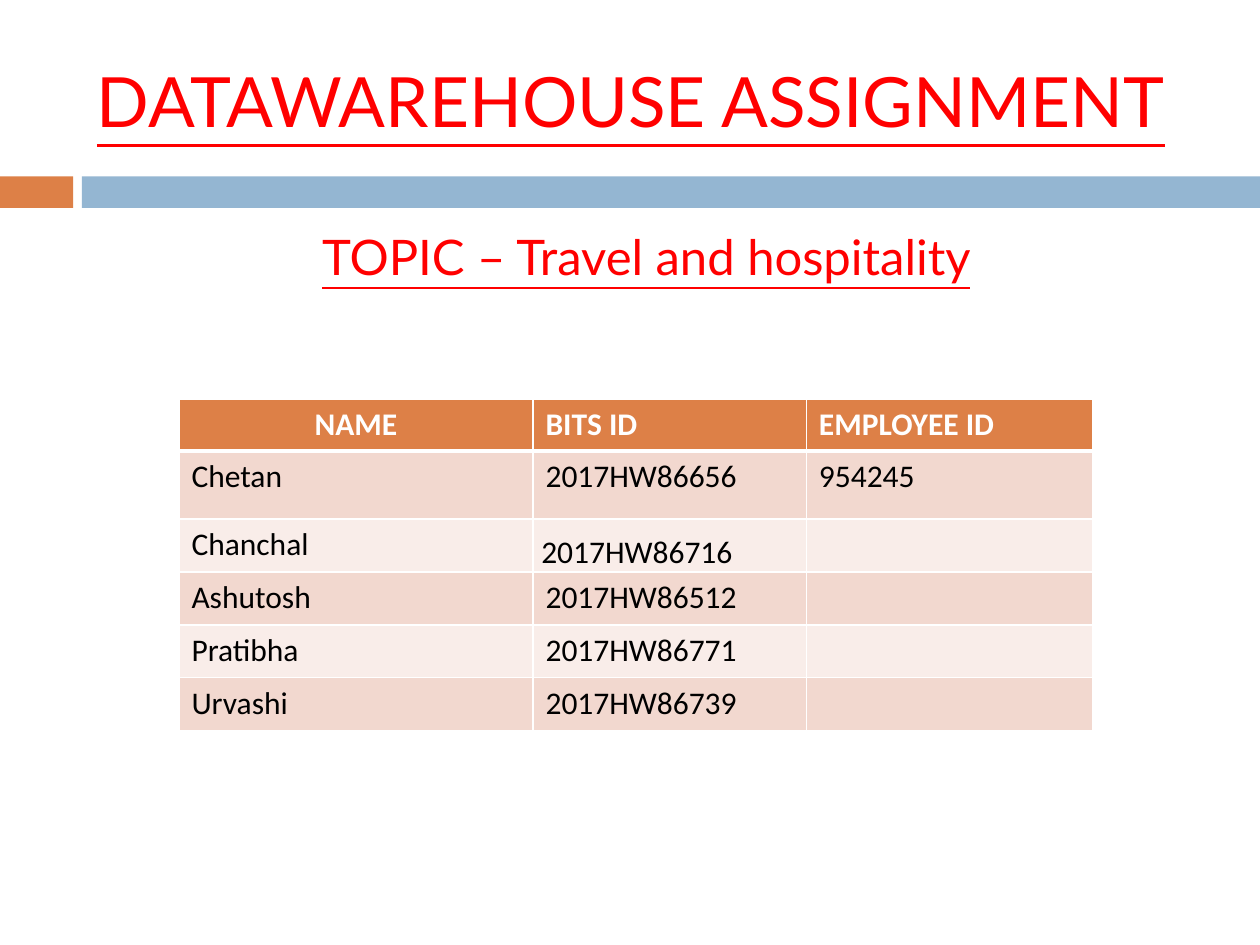
from pptx import Presentation, util as u
from pptx.dml.color import RGBColor
from pptx.enum import shapes, text
from lxml import etree

HUES = dict(red="FF0000", rust="DD8047", blue="94B6D2", white="FFFFFF",
            black="000000", rose="F2D8CF", pale="F9EDE9")
BARS = [(0, 0.58, "rust"), (0.65, 9.35, "blue")]
HEADS = [
    ("DATAWAREHOUSE ASSIGNMENT", (0.67, 0.25, 8.92, 1.08), 39.6,
     text.MSO_ANCHOR.MIDDLE, dict(alignment=text.PP_ALIGN.LEFT)),
    ("TOPIC – Travel and hospitality", (0.67, 1.75, 8.92, 4.92), 28,
     text.MSO_ANCHOR.TOP,
     dict(alignment=text.PP_ALIGN.CENTER, space_before=u.Pt(7))),
]
ROWS = [
    ("NAME", "BITS ID", "EMPLOYEE ID"),
    ("Chetan", "2017HW86656", "954245"),
    ("Chanchal ", " 2017HW86716", ""),
    ("Ashutosh", "2017HW86512", ""),
    ("Pratibha", "2017HW86771", ""),
    ("Urvashi", "2017HW86739", ""),
]
WIDE = (2.81, 2.17, 2.27)
HIGH = (0.41, 0.54) + (0.42,) * 4
NS = "http://schemas.openxmlformats.org/drawingml/2006/main"


def hue(name):
    return RGBColor.from_string(HUES[name])


def put(item, **vals):
    for key, val in vals.items():
        setattr(item, key, val)


def write(para, words, tint, **font):
    run = para.add_run()
    run.text = words
    put(run.font, **font)
    run.font.color.rgb = hue(tint)


def edge(cell, base):
    props = cell._tc.get_or_add_tcPr()
    for spot, (side, size) in enumerate(zip("LRTB", (1, 1, 1, base))):
        line = etree.Element(f"{{{NS}}}ln{side}", w=str(u.Pt(size)))
        fill = etree.SubElement(line, f"{{{NS}}}solidFill")
        etree.SubElement(fill, f"{{{NS}}}srgbClr", val=HUES["white"])
        props.insert(spot, line)


deck = Presentation()
put(deck, slide_width=u.Inches(10), slide_height=u.Inches(7.5))
page = deck.slides.add_slide(deck.slide_layouts[6])

for left, width, tint in BARS:
    bar = page.shapes.add_shape(shapes.MSO_SHAPE.RECTANGLE,
                                *map(u.Inches, (left, 1.4, width, 0.25)))
    bar.shadow.inherit = False
    bar.fill.solid()
    bar.fill.fore_color.rgb = hue(tint)
    bar.line.fill.background()

for words, place, size, anchor, form in HEADS:
    frame = page.shapes.add_textbox(*map(u.Inches, place)).text_frame
    put(frame, word_wrap=True, vertical_anchor=anchor)
    para = frame.paragraphs[0]
    put(para, **form)
    write(para, words, "red", name="Lato", size=u.Pt(size), underline=True)
para._p.get_or_add_pPr().set("marL", str(u.Inches(0.35)))
para._p.get_or_add_pPr().set("indent", str(u.Inches(-0.35)))

grid = page.shapes.add_table(
    len(ROWS), len(WIDE),
    *map(u.Inches, (1.42, 3.17, sum(WIDE), sum(HIGH)))).table
for col, width in zip(grid.columns, WIDE):
    col.width = u.Inches(width)
for r, (row, high) in enumerate(zip(ROWS, HIGH)):
    grid.rows[r].height = u.Inches(high)
    back = "rust" if r == 0 else ("pale", "rose")[r % 2]
    for c, words in enumerate(row):
        cell = grid.cell(r, c)
        cell.fill.solid()
        cell.fill.fore_color.rgb = hue(back)
        edge(cell, 1 if r else 3)
        para = cell.text_frame.paragraphs[0]
        if words:
            write(para, words, "black" if r else "white", name="Calibri",
                  size=u.Pt(18), bold=r == 0)

grid.cell(0, 0).text_frame.paragraphs[0].alignment = text.PP_ALIGN.CENTER
put(grid.cell(2, 1), vertical_anchor=text.MSO_ANCHOR.BOTTOM, margin_bottom=0,
    **{f"margin_{s}": u.Inches(0.01) for s in ("left", "right", "top")})

deck.save("out.pptx")
